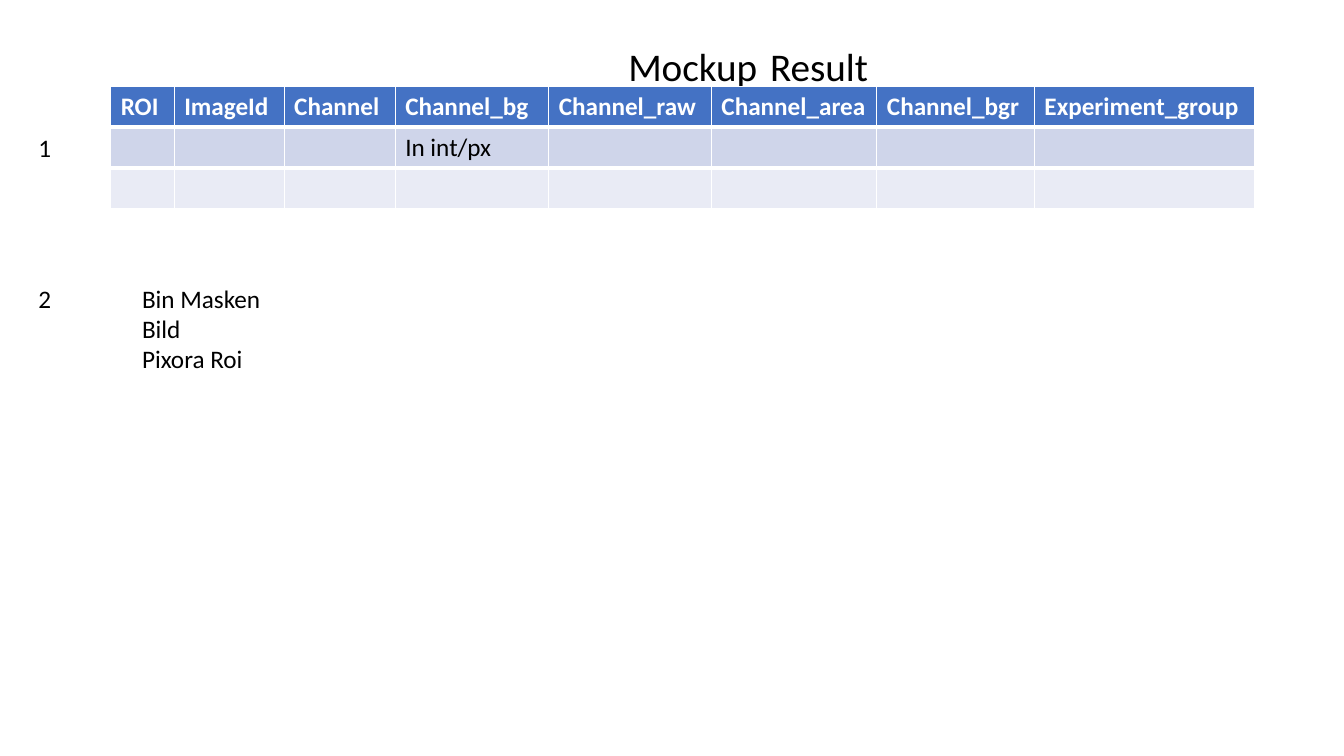
from dataclasses import dataclass

import pptx
import pptx.dml.color
import pptx.enum.text
import pptx.oxml
import pptx.oxml.ns
import pptx.util

Cm = pptx.util.Cm
Pt = pptx.util.Pt
RGB = pptx.dml.color.RGBColor.from_string


@dataclass(frozen=True)
class Theme:
    font: str = "Calibri"
    text: str = "000000"
    header_text: str = "FFFFFF"
    header_fill: str = "4472C4"
    band_fills: tuple = ("CFD5EA", "E9EBF5")
    rule: str = "FFFFFF"
    rule_width: int = 3
    body_size: int = 18
    title_size: int = 28
    title_gap_size: int = 40


THEME = Theme()

# Column heading and width in cm
COLUMNS = [
    ("ROI", 1.6),
    ("ImageId", 2.77),
    ("Channel", 2.8),
    ("Channel_bg", 3.87),
    ("Channel_raw", 4.1),
    ("Channel_area", 4.17),
    ("Channel_bgr", 3.97),
    ("Experiment_group", 5.54),
]
ROWS = [
    [name for name, _ in COLUMNS],
    ["", "", "", "In int/px", "", "", "", ""],
    [""] * len(COLUMNS),
]
ROW_HEIGHT = 1.03


def style(p, color=THEME.text, size=THEME.body_size, bold=False):
    p.font.name = THEME.font
    p.font.size = Pt(size)
    p.font.bold = bold
    p.font.color.rgb = RGB(color)


def add_text(s, left, top, width, height, lines, wrap=True):
    tf = s.shapes.add_textbox(Cm(left), Cm(top), Cm(width), Cm(height)).text_frame
    tf.word_wrap = wrap
    tf.auto_size = pptx.enum.text.MSO_AUTO_SIZE.SHAPE_TO_FIT_TEXT
    tf.text = "\n".join(lines)
    for p in tf.paragraphs:
        style(p)
    return tf


def add_title(s, left, top, width, height, words):
    tf = add_text(s, left, top, width, height, [""])
    tf.auto_size = pptx.enum.text.MSO_AUTO_SIZE.NONE
    tf.vertical_anchor = pptx.enum.text.MSO_ANCHOR.MIDDLE
    p = tf.paragraphs[0]
    p.alignment = pptx.enum.text.PP_ALIGN.CENTER
    p.line_spacing = 0.9
    style(p, size=THEME.title_size)
    first, last = words
    for text, size in ((first, THEME.title_size), (" ", THEME.title_gap_size),
                       (last, THEME.title_size)):
        r = p.add_run()
        r.text = text
        r.font.name = THEME.font
        r.font.size = Pt(size)
        r.font.color.rgb = RGB(THEME.text)


def add_edge(cell, side):
    edge = pptx.oxml.parse_xml(
        f'<a:{side} {pptx.oxml.ns.nsdecls("a")} w="{Pt(THEME.rule_width)}">'
        f'<a:solidFill><a:srgbClr val="{THEME.rule}"/></a:solidFill></a:{side}>')
    cell._tc.get_or_add_tcPr().insert(0, edge)


def add_result_table(s, left, top):
    width = sum(w for _, w in COLUMNS)
    table = s.shapes.add_table(len(ROWS), len(COLUMNS), Cm(left), Cm(top),
                               Cm(width), Cm(ROW_HEIGHT * len(ROWS))).table
    for column, (_, w) in zip(table.columns, COLUMNS):
        column.width = Cm(w)
    fills = (THEME.header_fill, *THEME.band_fills)
    for i, (values, fill) in enumerate(zip(ROWS, fills)):
        table.rows[i].height = Cm(ROW_HEIGHT)
        header = i == 0
        for cell, value in zip(table.rows[i].cells, values):
            cell.text = value
            cell.fill.solid()
            cell.fill.fore_color.rgb = RGB(fill)
            style(cell.text_frame.paragraphs[0], bold=header,
                  color=THEME.header_text if header else THEME.text)

    # Heavy rule below the header
    for side, row in (("lnB", table.rows[0]), ("lnT", table.rows[1])):
        for cell in row.cells:
            add_edge(cell, side)


def main():
    prs = pptx.Presentation()
    prs.slide_width, prs.slide_height = Cm(33.87), Cm(19.05)
    s = prs.slides.add_slide(prs.slide_layouts[6])

    # Heading and result table
    add_title(s, 6.17, 1.02, 25.37, 1.14, ("Mockup", "Result"))
    add_result_table(s, 2.79, 2.17)

    # Item numbers
    for number, top in (("1", 3.2), ("2", 7.01)):
        add_text(s, 0.72, top, 0.84, 1.03, [number], wrap=False)

    # Further outputs
    add_text(s, 3.33, 7.01, 14, 2.57, ["Bin Masken", "Bild", "Pixora Roi"])

    prs.save("out.pptx")


main()
